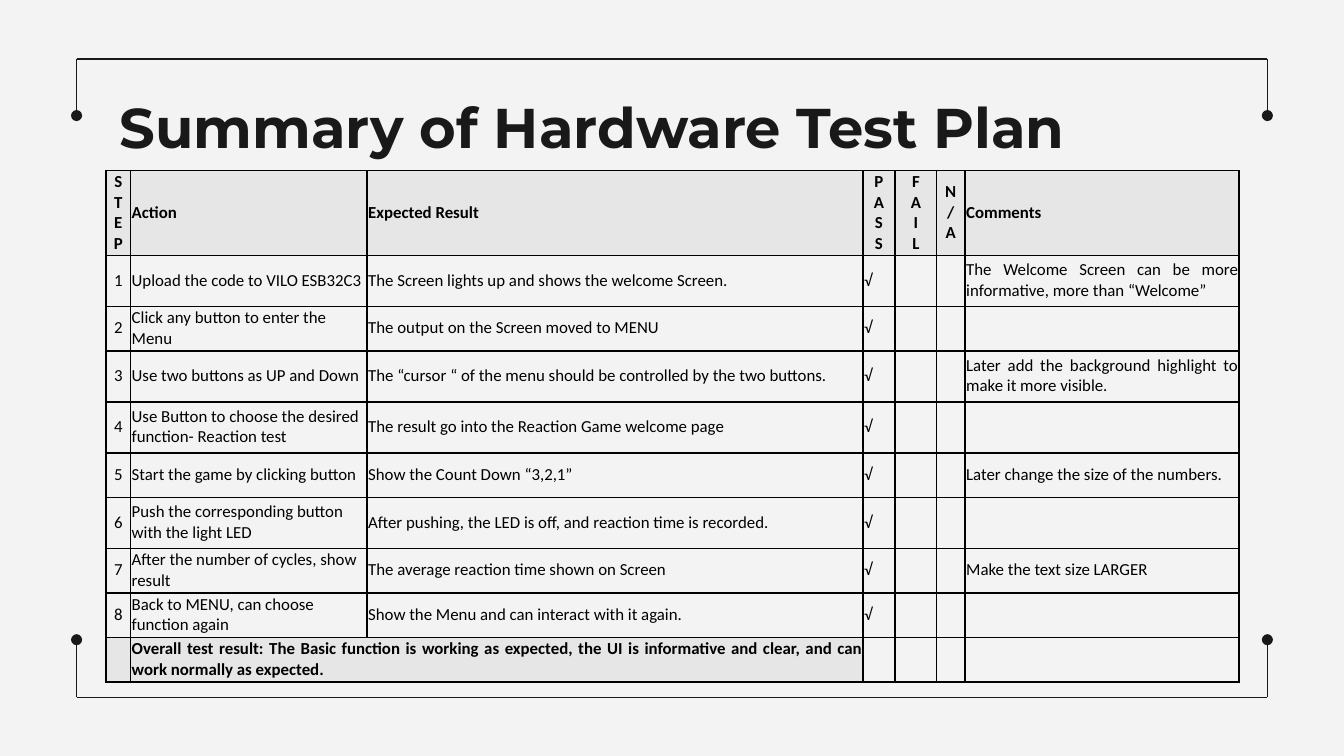
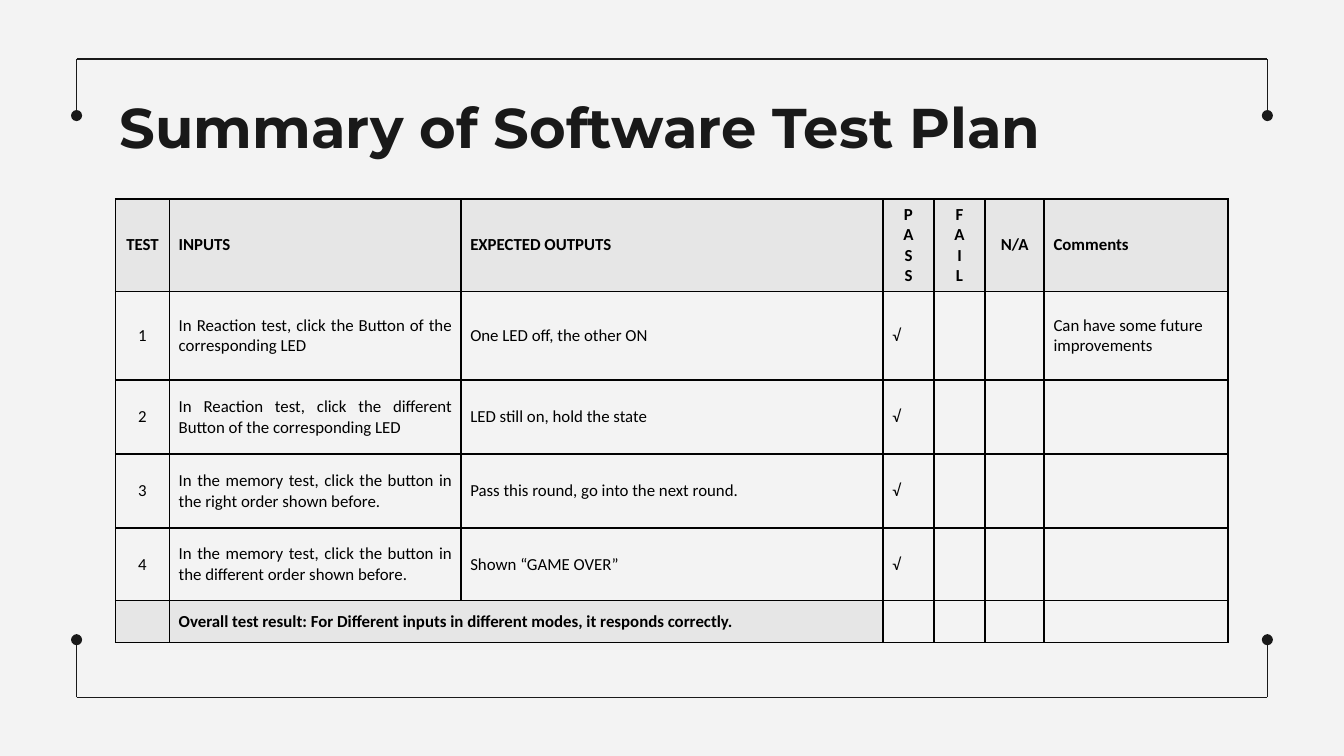
from dataclasses import dataclass
from typing import NamedTuple

from lxml import etree
from pptx import Presentation
from pptx import util as u
from pptx.dml.color import RGBColor
from pptx.enum import shapes, text
from pptx.oxml.ns import qn

LEFT = text.PP_ALIGN.LEFT
CENTER = text.PP_ALIGN.CENTER
JUSTIFY = text.PP_ALIGN.JUSTIFY
CHECK = "√"


@dataclass(frozen=True)
class Theme:
    paper: str = "F3F3F3"
    ink: str = "191919"
    grid: str = "000000"
    shade: str = "E6E6E6"
    title_font: str = "Montserrat"
    table_font: str = "Calibri"
    title_size: float = 30
    table_size: float = 9
    frame_width: float = 0.75
    grid_width: float = 1


THEME = Theme()


class FrameLine(NamedTuple):
    x1: float
    y1: float
    x2: float
    y2: float
    dotted_end: bool


class Insets(NamedTuple):
    left: float
    top: float
    right: float
    bottom: float


class Check(NamedTuple):
    action: str
    expected: str
    comment: str = ""


@dataclass(frozen=True)
class TestPlan:
    title: str
    left: float
    top: float
    columns: list[float]
    rows: list[float]
    insets: Insets
    headings: list[str]
    body_align: int
    comment_align: int
    checks: list[Check]
    result: str


FRAME_LEFT, FRAME_RIGHT = 0.57, 9.43
FRAME = [
    line
    for edge, dot in ((0.44, 0.86), (5.19, 4.76))
    for line in (
        FrameLine(FRAME_LEFT, edge, FRAME_RIGHT, edge, False),
        FrameLine(FRAME_LEFT, edge, FRAME_LEFT, dot, True),
        FrameLine(FRAME_RIGHT, edge, FRAME_RIGHT, dot, True),
    )
]

HARDWARE = TestPlan(
    title="Summary of Hardware Test Plan",
    left=0.79,
    top=1.27,
    columns=[0.18, 1.76, 3.69, 0.24, 0.31, 0.21, 2.04],
    rows=[0.63, 0.38, 0.33, 0.38, 0.38, 0.33, 0.38, 0.33, 0.33, 0.33],
    insets=Insets(0.01, 0.01, 0.01, 0.02),
    headings=["\v".join("STEP"), "Action", "Expected Result", "\v".join("PASS"),
              "\v".join("FAIL"), "\v".join("N/A"), "Comments"],
    body_align=LEFT,
    comment_align=JUSTIFY,
    checks=[
        Check("Upload the code to VILO ESB32C3",
              "The Screen lights up and shows the welcome Screen.",
              "The Welcome Screen can be more informative, more than “Welcome”"),
        Check("Click any button to enter the Menu",
              "The output on the Screen moved to MENU"),
        Check("Use two buttons as UP and Down",
              "The “cursor “ of the menu should be controlled by the two buttons.",
              "Later add the background highlight to make it more visible."),
        Check("Use Button to choose the desired function- Reaction test",
              "The result go into the Reaction Game welcome page"),
        Check("Start the game by clicking button",
              "Show the Count Down “3,2,1”",
              "Later change the size of the numbers."),
        Check("Push the corresponding button with the light LED",
              "After pushing, the LED is off, and reaction time is recorded."),
        Check("After the number of cycles, show result",
              "The average reaction time shown on Screen",
              "Make the text size LARGER"),
        Check("Back to MENU, can choose function again",
              "Show the Menu and can interact with it again."),
    ],
    result="Overall test result: The Basic function is working as expected, the UI is "
           "informative and clear, and can work normally as expected.",
)

SOFTWARE = TestPlan(
    title="Summary of Software Test Plan",
    left=0.86,
    top=1.48,
    columns=[0.4, 2.17, 3.14, 0.38, 0.38, 0.44, 1.37],
    rows=[0.69, 0.66, 0.55, 0.55, 0.54, 0.31],
    insets=Insets(0.07, 0.04, 0.07, 0.04),
    headings=["TEST", "INPUTS", "EXPECTED OUTPUTS", "\n".join("PASS"),
              "\n".join("FAIL"), "N/A", "Comments"],
    body_align=JUSTIFY,
    comment_align=LEFT,
    checks=[
        Check("In Reaction test, click the Button of the corresponding LED",
              "One LED off, the other ON",
              "Can have some future improvements"),
        Check("In Reaction test, click the different Button of the corresponding LED",
              "LED still on, hold the state"),
        Check("In the memory test, click the button in the right order shown before.",
              "Pass this round, go into the next round."),
        Check("In the memory test, click the button in the different order shown before.",
              "Shown “GAME OVER”"),
    ],
    result="Overall test result: For Different inputs in different modes, "
           "it responds correctly.",
)


def write(frame, wording: str, *, font: str, size: float, color: str,
          bold: bool = False, align: int = LEFT) -> None:
    frame.text = wording
    for paragraph in frame.paragraphs:
        paragraph.alignment = align
        for run in paragraph.runs:
            run.font.name = font
            run.font.size = u.Pt(size)
            run.font.bold = bold
            run.font.color.rgb = RGBColor.from_string(color)
        if not paragraph.runs:
            etree.SubElement(paragraph._p, qn("a:endParaRPr"), sz=str(int(size * 100)))


def draw_frame_line(slide, line: FrameLine) -> None:
    stroke = slide.shapes.add_connector(
        shapes.MSO_CONNECTOR.STRAIGHT,
        u.Inches(line.x1), u.Inches(line.y1), u.Inches(line.x2), u.Inches(line.y2))
    stroke.line.color.rgb = RGBColor.from_string(THEME.ink)
    stroke.line.width = u.Pt(THEME.frame_width)
    if line.dotted_end:
        etree.SubElement(stroke.line._get_or_add_ln(), qn("a:tailEnd"), type="oval")
    etree.SubElement(stroke._element.spPr, qn("a:effectLst"))


def draw_title(slide, title: str) -> None:
    heading = slide.shapes.add_textbox(
        u.Inches(0.79), u.Inches(0.59), u.Inches(8.43), u.Inches(0.63)).text_frame
    heading.word_wrap = True
    heading.margin_left = heading.margin_right = u.Inches(0.1)
    heading.margin_top = heading.margin_bottom = u.Inches(0.1)
    write(heading, title, font=THEME.title_font, size=THEME.title_size,
          color=THEME.ink, bold=True)


def draw_borders(cell) -> None:
    properties = cell._tc.get_or_add_tcPr()
    for side in ("lnL", "lnR", "lnT", "lnB"):
        border = etree.SubElement(properties, qn(f"a:{side}"),
                                  w=str(u.Pt(THEME.grid_width)))
        fill = etree.SubElement(border, qn("a:solidFill"))
        etree.SubElement(fill, qn("a:srgbClr"), val=THEME.grid)


def format_cell(cell, wording: str, insets: Insets, *, align: int,
                bold: bool, shaded: bool) -> None:
    draw_borders(cell)
    if shaded:
        cell.fill.solid()
        cell.fill.fore_color.rgb = RGBColor.from_string(THEME.shade)
    else:
        cell.fill.background()
    cell.margin_left = u.Inches(insets.left)
    cell.margin_top = u.Inches(insets.top)
    cell.margin_right = u.Inches(insets.right)
    cell.margin_bottom = u.Inches(insets.bottom)
    cell.vertical_anchor = text.MSO_ANCHOR.MIDDLE
    write(cell.text_frame, wording, font=THEME.table_font, size=THEME.table_size,
          color=THEME.grid, bold=bold, align=align)


def draw_plan_table(slide, plan: TestPlan) -> None:
    grid = slide.shapes.add_table(
        len(plan.rows), len(plan.columns), u.Inches(plan.left), u.Inches(plan.top),
        u.Inches(sum(plan.columns)), u.Inches(sum(plan.rows))).table
    grid.first_row = grid.horz_banding = False
    for column, width in zip(grid.columns, plan.columns):
        column.width = u.Inches(width)
    for row, height in zip(grid.rows, plan.rows):
        row.height = u.Inches(height)

    heading_aligns = [CENTER, JUSTIFY, JUSTIFY, CENTER, CENTER, CENTER, JUSTIFY]
    check_aligns = [CENTER, plan.body_align, plan.body_align,
                    JUSTIFY, JUSTIFY, JUSTIFY, plan.comment_align]
    result_row = len(plan.rows) - 1
    contents = [
        plan.headings,
        *([str(number), check.action, check.expected, CHECK, "", "", check.comment]
          for number, check in enumerate(plan.checks, 1)),
        ["", plan.result, "", "", "", "", ""],
    ]
    for r, wordings in enumerate(contents):
        is_heading, is_result = r == 0, r == result_row
        aligns = (heading_aligns if is_heading
                  else [JUSTIFY] * len(wordings) if is_result else check_aligns)
        for c, (wording, align) in enumerate(zip(wordings, aligns)):
            format_cell(grid.cell(r, c), wording, plan.insets, align=align,
                        bold=is_heading or is_result,
                        shaded=is_heading or (is_result and c < 3))
    grid.cell(result_row, 1).merge(grid.cell(result_row, 2))


def build_slide(deck, plan: TestPlan) -> None:
    slide = deck.slides.add_slide(deck.slide_layouts[6])
    slide.background.fill.solid()
    slide.background.fill.fore_color.rgb = RGBColor.from_string(THEME.paper)
    for line in FRAME:
        draw_frame_line(slide, line)
    draw_title(slide, plan.title)
    draw_plan_table(slide, plan)


def main() -> None:
    deck = Presentation()
    deck.slide_width = u.Inches(10)
    deck.slide_height = u.Inches(10 * 9 / 16)
    for plan in (HARDWARE, SOFTWARE):
        build_slide(deck, plan)
    deck.save("out.pptx")


if __name__ == "__main__":
    main()
